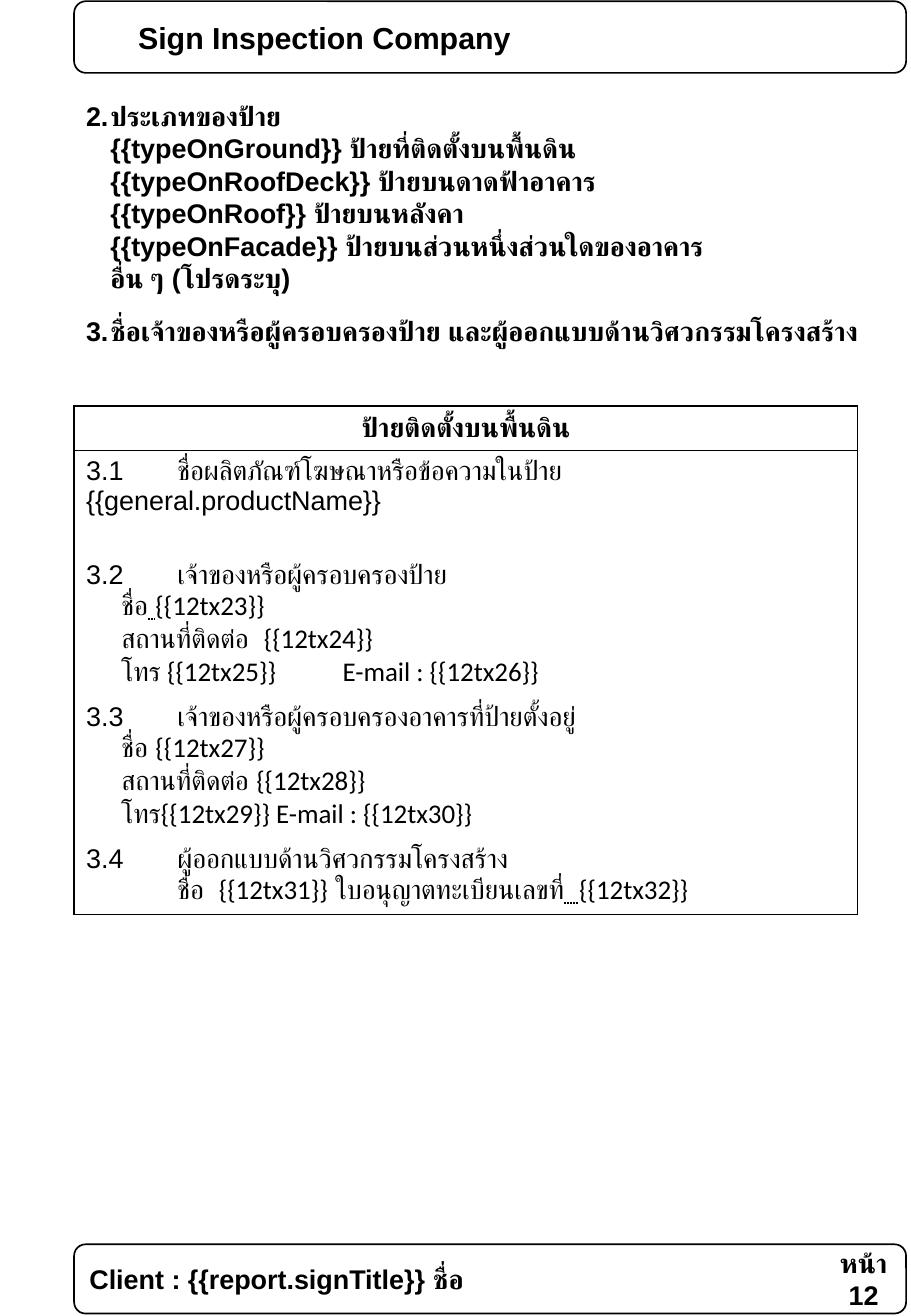
from lxml import etree
from pptx import Presentation
from pptx.dml.color import RGBColor
from pptx.enum.shapes import MSO_SHAPE as SHAPE
from pptx.enum.text import MSO_ANCHOR as ANCHOR, MSO_UNDERLINE as UNDERLINE, PP_ALIGN as ALIGN
from pptx.oxml.ns import qn
from pptx.util import Inches, Pt

COLORS = {"ink": "000000"}
LEFT = 0.61
BOLD = {"bold": True}
CALIBRI = {"name": "Calibri"}
DOTTED = {"bold": True, "underline": UNDERLINE.DOTTED_LINE}

SIGN_TYPES = [
    "{{typeOnGround}} ป้ายที่ติดตั้งบนพื้นดิน",
    "{{typeOnRoofDeck}} ป้ายบนดาดฟ้าอาคาร",
    "{{typeOnRoof}} ป้ายบนหลังคา",
    "{{typeOnFacade}} ป้ายบนส่วนหนึ่งส่วนใดของอาคาร",
    "อื่น ๆ (โปรดระบุ)",
]
NUMBERED = {"tabs": [0.75]}
DETAIL = {"left": 0.29}
# Each row: height, anchor, then paragraphs of (runs, paragraph format)
ROWS = [
    (0.32, ANCHOR.MIDDLE, [([("ป้ายติดตั้งบนพื้นดิน", BOLD)], {"align": ALIGN.CENTER})]),
    (0.85, ANCHOR.TOP, [
        ([("3.1\tชื่อผลิตภัณฑ์โฆษณาหรือข้อความในป้าย {{general.productName}}", {})], NUMBERED)]),
    (1.16, ANCHOR.MIDDLE, [
        ([("3.2\tเจ้าของหรือผู้ครอบครองป้าย", {})], NUMBERED),
        ([("ชื่อ", {}), (" ", DOTTED), ("{{12tx23}}", CALIBRI)], DETAIL),
        ([("สถานที่ติดต่อ  ", {}), ("{{12tx24}}", CALIBRI)], DETAIL),
        ([("โทร {{12tx25}}\tE-mail : {{12tx26}}", CALIBRI)], {"left": 0.29, "tabs": [1.82]})]),
    (1.16, ANCHOR.MIDDLE, [
        ([("3.3\tเจ้าของหรือผู้ครอบครองอาคารที่ป้ายตั้งอยู่", {})], NUMBERED),
        ([("ชื่อ ", {}), ("{{12tx27}}", CALIBRI)], DETAIL),
        ([("สถานที่ติดต่อ ", {}), ("{{12tx28}}", CALIBRI)], DETAIL),
        ([("โทร{{12tx29}} E-mail : {{12tx30}}", CALIBRI)], DETAIL)]),
    (0.62, ANCHOR.MIDDLE, [
        ([("3.4\tผู้ออกแบบด้านวิศวกรรมโครงสร้าง", {})], NUMBERED),
        ([("\tชื่อ  ", {}), ("{{12tx31}}", CALIBRI), (" ใบอนุญาตทะเบียนเลขที่", {}),
          ("  ", DOTTED), ("{{12tx32}}", CALIBRI)], NUMBERED)]),
]


def ink():
    return RGBColor.from_string(COLORS["ink"])


def add_run(p, text, fmt):
    r = p.add_run()
    r.text = text
    for key, value in {"name": "Arial", "size": Pt(16), "bold": False, **fmt}.items():
        setattr(r.font, key, value)
    r.font.color.rgb = ink()
    cs = etree.SubElement(r.font._element, qn("a:cs"))
    cs.set("typeface", r.font.name)


def format_paragraph(p, left=0, indent=0, before=0, align=ALIGN.LEFT, tabs=()):
    p.alignment = align
    p.space_before = Pt(before)
    pPr = p._p.get_or_add_pPr()
    pPr.set("marL", str(Inches(left)))
    pPr.set("indent", str(Inches(indent)))
    if tabs:
        pPr.set("defTabSz", str(Inches(tabs[0])))
        tab_list = etree.SubElement(pPr, qn("a:tabLst"))
        for pos in tabs:
            etree.SubElement(tab_list, qn("a:tab"), pos=str(Inches(pos)), algn="l")


def write(tf, paragraphs):
    for i, (runs, fmt) in enumerate(paragraphs):
        p = tf.paragraphs[0] if i == 0 else tf.add_paragraph()
        format_paragraph(p, **fmt)
        for text, font in runs:
            add_run(p, text, font)


def add_text(slide, box, paragraphs, anchor=ANCHOR.MIDDLE, top=0.05):
    tf = slide.shapes.add_textbox(*map(Inches, box)).text_frame
    tf.word_wrap = True
    tf.vertical_anchor = anchor
    tf.margin_top = Inches(top)
    write(tf, paragraphs)


def add_band(slide, top, height, text, left=0):
    """Outlined rounded bar with one bold line of text."""
    sp = slide.shapes.add_shape(SHAPE.ROUNDED_RECTANGLE, Inches(LEFT), Inches(top),
                                Inches(6.85), Inches(height))
    sp.shadow.inherit = False
    sp.fill.background()
    sp.line.color.rgb = ink()
    sp.line.width = Pt(1)
    sp.text_frame.vertical_anchor = ANCHOR.MIDDLE
    size = Pt(18) if left else Pt(16)
    write(sp.text_frame, [([(text, {"bold": True, "size": size})], {"left": left})])


def set_borders(cell, drawn):
    tcPr = cell._tc.get_or_add_tcPr()
    for i, side in enumerate("LRTB"):
        ln = etree.Element(qn(f"a:ln{side}"), w=str(Pt(1)))
        if side in drawn:
            fill = etree.SubElement(ln, qn("a:solidFill"))
            etree.SubElement(fill, qn("a:srgbClr"), val=COLORS["ink"])
        else:
            etree.SubElement(ln, qn("a:noFill"))
        tcPr.insert(i, ln)


def add_owner_table(slide):
    height = sum(row[0] for row in ROWS)
    frame = slide.shapes.add_table(len(ROWS), 1, Inches(LEFT), Inches(3.34),
                                   Inches(6.45), Inches(height))
    table = frame.table
    table.first_row = table.horz_banding = False
    sides = ["LRTB", "LRT"] + ["LR"] * (len(ROWS) - 3) + ["LRB"]
    for i, (row_height, anchor, paragraphs) in enumerate(ROWS):
        table.rows[i].height = Inches(row_height)
        cell = table.cell(i, 0)
        cell.vertical_anchor = anchor
        cell.fill.background()
        write(cell.text_frame, paragraphs)
        set_borders(cell, sides[i])


def main():
    prs = Presentation()
    prs.slide_width, prs.slide_height = Inches(7.5), Inches(10.83)
    slide = prs.slides.add_slide(prs.slide_layouts[6])

    heading = {"tabs": [0.2]}
    sections = [([("2.\tประเภทของป้าย", BOLD)], heading)]
    sections += [([(text, BOLD)], {"indent": 0.2}) for text in SIGN_TYPES]
    sections.append(([("3.\tชื่อเจ้าของหรือผู้ครอบครองป้าย และผู้ออกแบบด้านวิศวกรรมโครงสร้าง", BOLD)],
                     {**heading, "before": 12}))
    add_text(slide, (LEFT, 0.6, 6.89, 9.64), sections, ANCHOR.TOP, 0.22)

    add_band(slide, 0.01, 0.59, "Sign Inspection Company", left=0.4)
    add_band(slide, 10.24, 0.57, "Client : {{report.signTitle}} ชื่อ")
    add_text(slide, (6.76, 10.24, 0.7, 0.57), [([("หน้า 12", BOLD)], {"align": ALIGN.CENTER})])
    add_owner_table(slide)
    prs.save("out.pptx")


if __name__ == "__main__":
    main()
